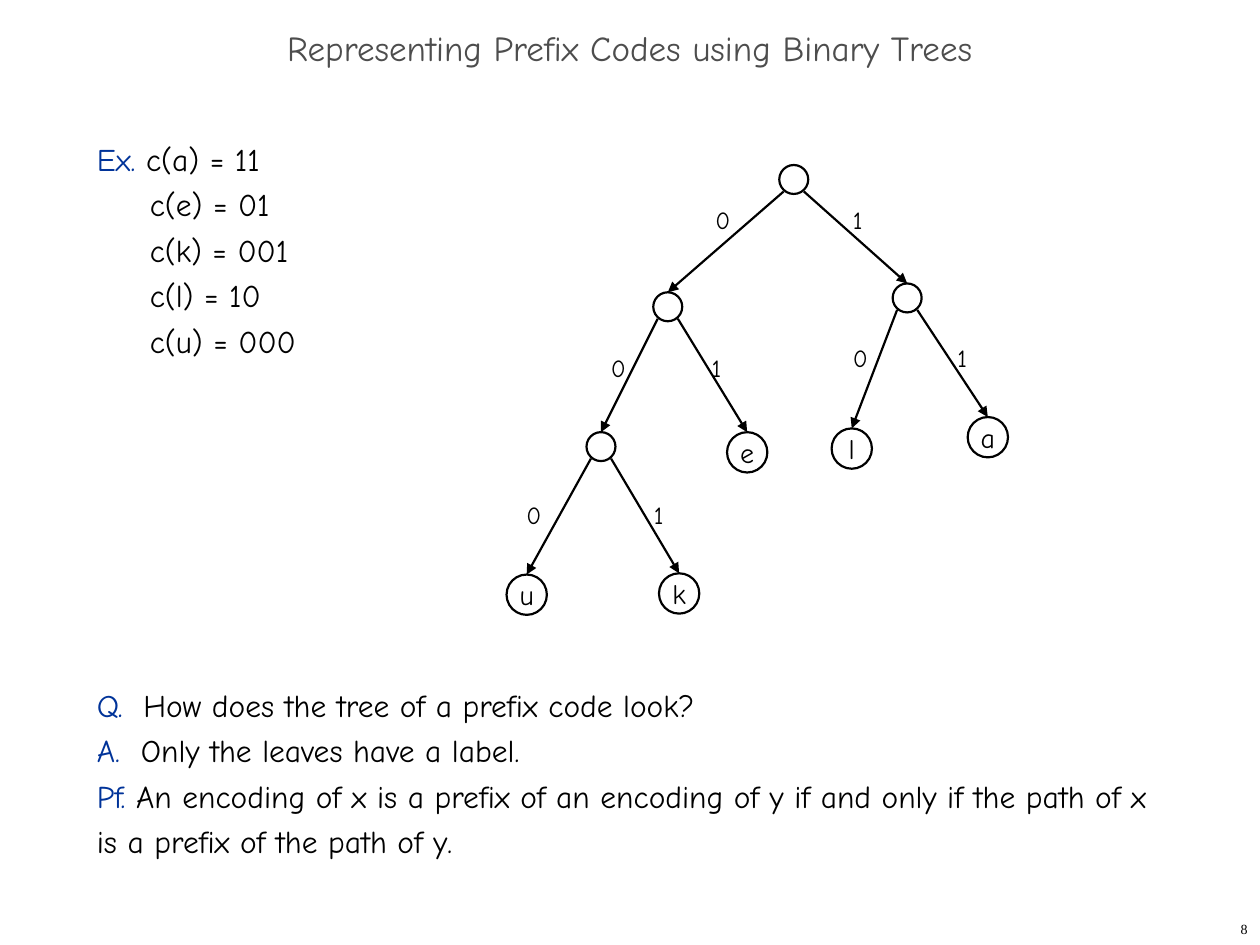
from lxml import etree
from pptx import Presentation
from pptx.dml.color import RGBColor
from pptx.enum.shapes import MSO_CONNECTOR, MSO_SHAPE
from pptx.enum.text import MSO_ANCHOR, MSO_AUTO_SIZE, PP_ALIGN
from pptx.oxml.ns import qn
from pptx.util import Inches, Pt

LINE = MSO_CONNECTOR.STRAIGHT
OVAL = MSO_SHAPE.OVAL
MIDDLE = MSO_ANCHOR.MIDDLE
NO_FIT = MSO_AUTO_SIZE.NONE
CENTER, RIGHT = PP_ALIGN.CENTER, PP_ALIGN.RIGHT

BLACK = RGBColor(0, 0, 0)
BLUE = RGBColor(0, 0x33, 0x99)
GRAY = RGBColor(0x4D, 0x4D, 0x4D)
FONT = "Comic Neue"

TITLE = "Representing Prefix Codes using Binary Trees"
NOTES = [
    ("Ex.", " c(a) = 11", {}),
    ("", "c(e) = 01", {"indent": 0.42}),
    ("", "c(k) = 001", {"indent": 0.42}),
    ("", "c(l) = 10", {"indent": 0.42}),
    ("", "c(u) = 000", {"indent": 0.42}),
    ("Q.", "\tHow does the tree of a prefix code look?", {"tab": 0.37, "skip": 7}),
    ("A.", "\tOnly the leaves have a label.", {"tab": 0.35}),
    ("Pf.", " An encoding of x is a prefix of an encoding of y if and only if "
     "the path of x is a prefix of the path of y.", {}),
]
# code: (letter, center x, top, bit label position)
TREE = {
    "": ("", 6.3, 1.31, None),
    "0": ("", 5.3, 2.32, (5.58, 1.58)),
    "1": ("", 7.2, 2.25, (6.67, 1.58)),
    "00": ("", 4.77, 3.43, (4.75, 2.75)),
    "01": ("e", 5.93, 3.43, (5.55, 2.75)),
    "10": ("l", 6.76, 3.4, (6.67, 2.67)),
    "11": ("a", 7.84, 3.31, (7.5, 2.67)),
    "000": ("u", 4.18, 4.56, (4.08, 3.92)),
    "001": ("k", 5.39, 4.55, (5.09, 3.92)),
}
KNOT, LEAF = 0.23, 0.32
EDGE_X, EDGE_Y = 0.08, 0.21
LEAD = 26


def style(run, size, color=BLACK, font=FONT):
    run.font.size = Pt(size)
    run.font.name = font
    run.font.color.rgb = color


def add_text(slide, box, text, size, wrap=False, font=FONT):
    shape = slide.shapes.add_textbox(*map(Inches, box))
    frame = shape.text_frame
    frame.word_wrap = wrap
    frame.text = text
    style(frame.paragraphs[0].runs[0], size, font=font)
    return frame


def add_title(slide):
    title = slide.shapes.title
    title.left, title.top, title.width, title.height = map(Inches, (0, 0.17, 10, 0.5))
    frame = title.text_frame
    frame.text = TITLE
    frame.auto_size = NO_FIT
    frame.vertical_anchor = MIDDLE
    par = frame.paragraphs[0]
    par.alignment = CENTER
    par.line_spacing = 0.7
    style(par.runs[0], 20, GRAY)


def add_notes(slide):
    box = slide.shapes.add_textbox(*map(Inches, (0.67, 1, 8.58, 5.92)))
    frame = box.text_frame
    frame.word_wrap = True
    for row, (tag, text, form) in enumerate(NOTES):
        par = frame.paragraphs[0] if row == 0 else frame.add_paragraph()
        props = par._p.get_or_add_pPr()
        if "indent" in form:
            props.set("marL", str(Inches(form["indent"])))
        if "tab" in form:
            tabs = etree.SubElement(props, qn("a:tabLst"))
            etree.SubElement(tabs, qn("a:tab"), pos=str(Inches(form["tab"])), algn="l")
        par.line_spacing = Pt(LEAD)
        if "skip" in form:
            par.space_before = Pt(LEAD * form["skip"])
        for part, color in ((tag, BLUE), (text, BLACK)):
            if part:
                run = par.add_run()
                run.text = part
                style(run, 18, color)


def add_node(slide, letter, mid, top):
    size = LEAF if letter else KNOT
    node = slide.shapes.add_shape(OVAL, *map(Inches, (mid - size / 2, top, size, size)))
    node.shadow.inherit = False
    node.fill.background()
    node.line.color.rgb = BLACK
    node.line.width = Pt(1.25)
    if letter:
        frame = node.text_frame
        frame.word_wrap = False
        frame.vertical_anchor = MIDDLE
        frame.text = letter
        frame.paragraphs[0].alignment = CENTER
        style(frame.paragraphs[0].runs[0], 16)
    return node


def add_edge(slide, code, child):
    _, mid, top, _ = TREE[code[:-1]]
    _, end, peak, spot = TREE[code]
    side = EDGE_X if code[-1] == "1" else -EDGE_X
    ends = map(Inches, (mid + side, top + EDGE_Y, end, peak))
    edge = slide.shapes.add_connector(LINE, *ends)
    edge.end_connect(child, 0)
    edge.line.color.rgb = BLACK
    edge.line.width = Pt(1.25)
    etree.SubElement(edge.line._get_or_add_ln(), qn("a:tailEnd"), type="triangle")
    etree.SubElement(edge._element.spPr, qn("a:effectLst"))
    add_text(slide, (*spot, 0.32, 0.33), code[-1], 14)


def main():
    deck = Presentation()
    deck.slide_width, deck.slide_height = Inches(10), Inches(7.5)
    slide = deck.slides.add_slide(deck.slide_layouts[5])
    add_title(slide)
    add_notes(slide)
    for code, (letter, mid, top, _) in TREE.items():
        node = add_node(slide, letter, mid, top)
        if code:
            add_edge(slide, code, node)
    page = add_text(slide, (7.92, 7.25, 2.08, 0.25), "8", 8, True, "Times New Roman")
    page.vertical_anchor = MIDDLE
    page.paragraphs[0].alignment = RIGHT
    deck.save("out.pptx")


if __name__ == "__main__":
    main()
